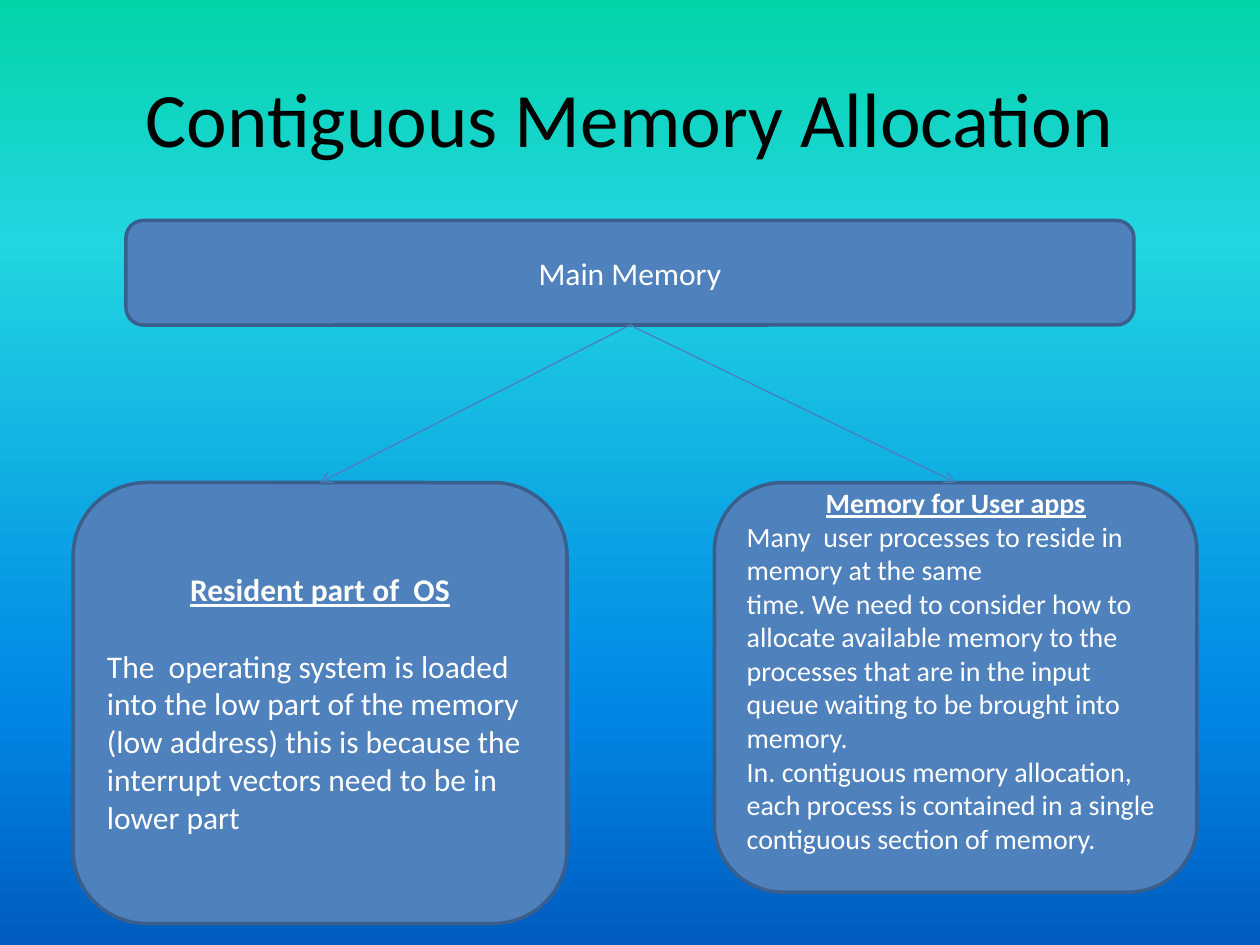
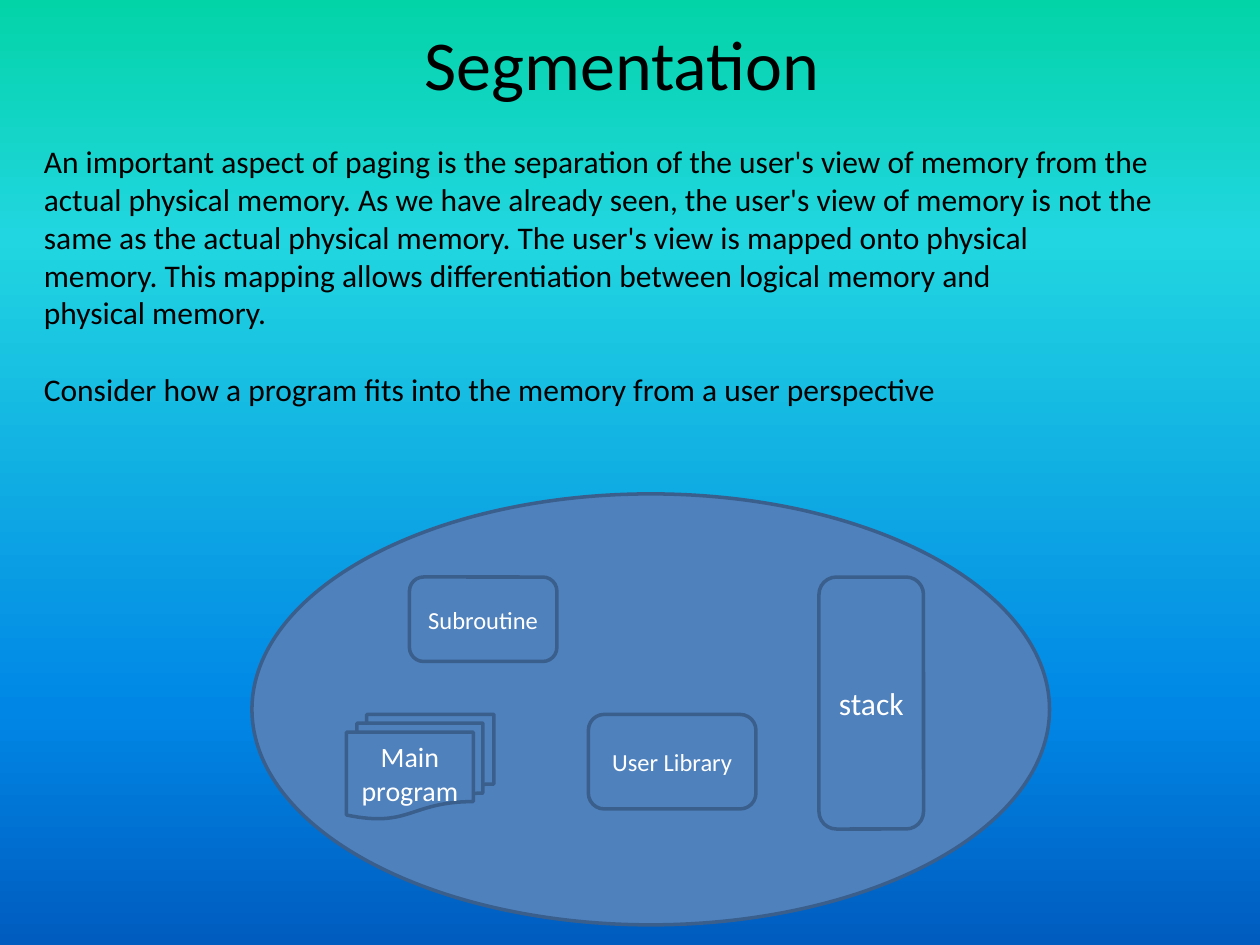
from dataclasses import dataclass

from lxml import etree
from pptx import Presentation
from pptx.dml.color import RGBColor
from pptx.enum.shapes import MSO_CONNECTOR, MSO_SHAPE
from pptx.enum.text import MSO_ANCHOR, MSO_AUTO_SIZE, PP_ALIGN
from pptx.oxml.ns import qn
from pptx.util import Inches, Pt

ROUNDED = MSO_SHAPE.ROUNDED_RECTANGLE
OVAL = MSO_SHAPE.OVAL
DOCUMENTS = MSO_SHAPE.FLOWCHART_MULTIDOCUMENT
STRAIGHT = MSO_CONNECTOR.STRAIGHT
LEFT, CENTER = PP_ALIGN.LEFT, PP_ALIGN.CENTER
MIDDLE = MSO_ANCHOR.MIDDLE
FIT_SHAPE = MSO_AUTO_SIZE.SHAPE_TO_FIT_TEXT
TOP_SIDE, BOTTOM_SIDE = 0, 2
TITLE_ONLY = 5


@dataclass(frozen=True)
class Theme:
    font: str = "Calibri"
    text: str = "000000"
    box_text: str = "FFFFFF"
    box_fill: str = "4F81BD"
    box_line: str = "3A5F8C"
    arrow: str = "4B7EBC"
    background: tuple = ((0, "03D4A8"), (25, "21D6E0"), (75, "0087E6"), (100, "005CBF"))
    large: int = 18
    medium: int = 16
    small: int = 14
    box_line_width: float = 2
    arrow_width: float = 0.75
    line_height: float = 1.22


THEME = Theme()

# Titles: text, size, position (left, top, width, height)
ALLOCATION_TITLE = ("Contiguous Memory Allocation", 44, (0.5, 0.3, 9, 1.25))
SEGMENTATION_TITLE = ("Segmentation ", 40, (0.5, 0, 9, 1))

MAIN_MEMORY = ("Main Memory", (1, 1.75, 8, 0.83))
MEMORY_PARTS = [
    {
        "heading": "Resident part of  OS",
        "body": [
            "The  operating system is loaded into the low part of the memory (low address) "
            "this is because the interrupt vectors need to be in lower part",
        ],
        "size": THEME.large,
        "place": (0.58, 3.83, 3.92, 3.5),
        "lines_after_heading": 1,
        "lines_below": 0,
    },
    {
        "heading": "Memory for User apps",
        "body": [
            "Many  user processes to reside in memory at the same",
            "time. We need to consider how to allocate available memory to the processes "
            "that are in the input queue waiting to be brought into memory.",
            "In. contiguous memory allocation, each process is contained in a single",
            "contiguous section of memory.",
        ],
        "size": THEME.medium,
        "place": (5.67, 3.83, 3.83, 3.25),
        "lines_after_heading": 0,
        "lines_below": 1,
    },
]

EXPLANATION = [
    "An important aspect of paging is the separation of the user's view of memory from the "
    "actual physical memory. As we have already seen, the user's view of memory is not the",
    "same as the actual physical memory. The user's view is mapped onto physical",
    "memory. This mapping allows differentiation between logical memory and",
    "physical memory.",
    "Consider how a program fits into the memory from a user perspective",
]
EXPLANATION_PLACE = (0.25, 1.08, 9.33, 2.22)
PROGRAM_PLACE = (2, 3.92, 6.33, 3.42)
SEGMENTS = [
    ("Subroutine", ROUNDED, THEME.small, (3.25, 4.58, 1.17, 0.67)),
    ("stack", ROUNDED, THEME.large, (6.5, 4.58, 0.83, 2)),
    ("Main program", DOCUMENTS, THEME.medium, (2.75, 5.67, 1.17, 0.83)),
    ("User Library", ROUNDED, THEME.small, (4.67, 5.67, 1.33, 0.75)),
]


def color(value):
    return RGBColor.from_string(value)


def inches(place):
    return [Inches(length) for length in place]


def line_gap(size, lines):
    """Height of a number of text lines at the given size."""
    return Pt(round(size * THEME.line_height * lines, 1))


def set_background(master):
    fill = master.background.fill
    fill.gradient()
    fill.gradient_angle = 270
    stops = next(master.element.iter(qn("a:gsLst")))
    for stop in list(stops):
        stops.remove(stop)
    for percent, value in THEME.background:
        stop = etree.SubElement(stops, qn("a:gs"), pos=str(percent * 1000))
        etree.SubElement(stop, qn("a:srgbClr"), val=value)


def write_paragraph(paragraph, text, size, text_color, alignment=LEFT, heading=False):
    paragraph.alignment = alignment
    run = paragraph.add_run()
    run.text = text
    run.font.name = THEME.font
    run.font.size = Pt(size)
    run.font.color.rgb = color(text_color)
    if heading:
        run.font.bold = True
        run.font.underline = True


def add_titled_slide(presentation, title):
    text, size, place = title
    slide = presentation.slides.add_slide(presentation.slide_layouts[TITLE_ONLY])
    shape = slide.shapes.title
    shape.left, shape.top, shape.width, shape.height = inches(place)
    shape.text_frame.vertical_anchor = MIDDLE
    write_paragraph(shape.text_frame.paragraphs[0], text, size, THEME.text, CENTER)
    return slide


def add_box(slide, kind, place):
    shape = slide.shapes.add_shape(kind, *inches(place))
    shape.shadow.inherit = False
    shape.fill.solid()
    shape.fill.fore_color.rgb = color(THEME.box_fill)
    shape.line.color.rgb = color(THEME.box_line)
    shape.line.width = Pt(THEME.box_line_width)
    shape.text_frame.word_wrap = True
    shape.text_frame.vertical_anchor = MIDDLE
    return shape


def add_labelled_box(slide, text, kind, size, place):
    shape = add_box(slide, kind, place)
    write_paragraph(shape.text_frame.paragraphs[0], text, size, THEME.box_text, CENTER)
    return shape


def add_memory_part(slide, part):
    size = part["size"]
    shape = add_box(slide, ROUNDED, part["place"])
    frame = shape.text_frame
    frame.margin_bottom += line_gap(size, part["lines_below"])
    heading = frame.paragraphs[0]
    write_paragraph(heading, part["heading"], size, THEME.box_text, CENTER, heading=True)
    heading.space_after = line_gap(size, part["lines_after_heading"])
    for text in part["body"]:
        write_paragraph(frame.add_paragraph(), text, size, THEME.box_text)
    return shape


def add_arrow(slide, source, target):
    """Join the bottom of one box to the top of another."""
    connector = slide.shapes.add_connector(STRAIGHT, 0, 0, 0, 0)
    connector.begin_connect(source, BOTTOM_SIDE)
    connector.end_connect(target, TOP_SIDE)
    connector.line.color.rgb = color(THEME.arrow)
    connector.line.width = Pt(THEME.arrow_width)
    properties = connector.element.spPr
    etree.SubElement(properties.find(qn("a:ln")), qn("a:tailEnd"), type="arrow")
    etree.SubElement(properties, qn("a:effectLst"))


def add_explanation(slide):
    frame = slide.shapes.add_textbox(*inches(EXPLANATION_PLACE)).text_frame
    frame.word_wrap = True
    frame.auto_size = FIT_SHAPE
    for index, text in enumerate(EXPLANATION):
        paragraph = frame.add_paragraph() if index else frame.paragraphs[0]
        write_paragraph(paragraph, text, THEME.large, THEME.text)
    paragraph.space_before = line_gap(THEME.large, 1)


def build_allocation_slide(presentation):
    slide = add_titled_slide(presentation, ALLOCATION_TITLE)
    text, place = MAIN_MEMORY
    main_memory = add_labelled_box(slide, text, ROUNDED, THEME.large, place)
    parts = [add_memory_part(slide, part) for part in MEMORY_PARTS]
    for part in parts:
        add_arrow(slide, main_memory, part)


def build_segmentation_slide(presentation):
    slide = add_titled_slide(presentation, SEGMENTATION_TITLE)
    add_explanation(slide)
    add_box(slide, OVAL, PROGRAM_PLACE)
    for segment in SEGMENTS:
        add_labelled_box(slide, *segment)


def main():
    presentation = Presentation()
    presentation.slide_width = Inches(10)
    presentation.slide_height = Inches(7.5)
    set_background(presentation.slide_master)
    build_allocation_slide(presentation)
    build_segmentation_slide(presentation)
    presentation.save("out.pptx")


if __name__ == "__main__":
    main()
